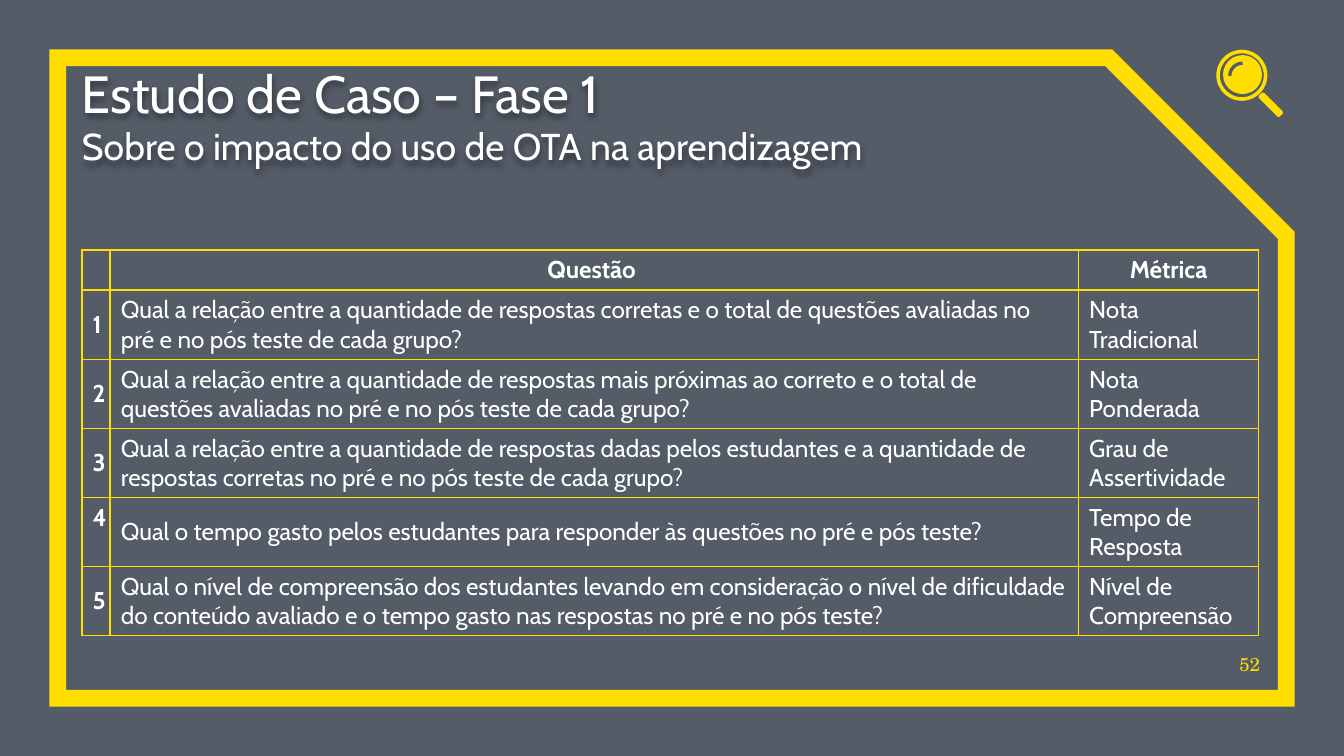
from lxml import etree
from pptx import Presentation
from pptx.dml.color import RGBColor
from pptx.enum.shapes import MSO_SHAPE
from pptx.enum.text import MSO_ANCHOR, PP_ALIGN
from pptx.oxml.ns import qn
from pptx.util import Inches, Pt

MID, LOW = MSO_ANCHOR.MIDDLE, MSO_ANCHOR.BOTTOM
LEFT, MIDST, RIGHT = PP_ALIGN.LEFT, PP_ALIGN.CENTER, PP_ALIGN.RIGHT
RECT, SNIP, ROUND = MSO_SHAPE.RECTANGLE, MSO_SHAPE.SNIP_1_RECTANGLE, MSO_SHAPE.ROUNDED_RECTANGLE
RING, DISC, ARC = MSO_SHAPE.DONUT, MSO_SHAPE.OVAL, MSO_SHAPE.ARC

HUES = {"gold": "FFDE00", "navy": "040F20", "slate": "555C67", "white": "FFFFFF", "black": "000000"}
INK = {name: RGBColor.from_string(code) for name, code in HUES.items()}

deck = Presentation()
deck.slide_width = Inches(10)
deck.slide_height = deck.slide_width * 9 // 16
slide = deck.slides.add_slide(deck.slide_layouts[6])
slide.background.fill.solid()
slide.background.fill.fore_color.rgb = INK["white"]

# The grid has 100 columns across the slide, with square cells.
UNIT = deck.slide_width / 100
ROWS = deck.slide_height / UNIT


def grid(*cells):
    return [round(cell * UNIT) for cell in cells]


def put(para, text, hue="white", **style):
    """Add a run of text with the given font values."""
    run = para.add_run()
    run.text = text
    run.font.color.rgb = INK[hue]
    for key, val in style.items():
        setattr(run.font, key, val)


# Backdrop, frame and magnifier: kind, place, fill, line, width, adjustment, turn
parts = [
    (RECT, (0, 0, 100, ROWS), "navy", None, 0, None, 0),
    (SNIP, (4.3, 4.3, 91.4, 47.65), None, "gold", 9, 13.2 / 47.65, 0),
    (RING, (90.5, 3.7, 3.8, 3.8), "gold", None, 0, 0.07, 0),
    (DISC, (91, 4.1, 2.9, 2.9), "gold", None, 0, None, 0),
    (ARC, (91.5, 4.7, 1.9, 1.9), None, "slate", 1.75, None, 270),
    (ROUND, (93.45, 7.52, 2.2, 0.55), "gold", None, 0, 0.3, 45),
]
for kind, place, fill, line, width, adj, turn in parts:
    shape = slide.shapes.add_shape(kind, *grid(*place))
    shape.shadow.inherit = False
    shape.rotation = turn
    if adj is not None:
        shape.adjustments[0] = adj
    if fill:
        shape.fill.solid()
        shape.fill.fore_color.rgb = INK[fill]
    else:
        shape.fill.background()
    if line:
        shape.line.color.rgb = INK[line]
        shape.line.width = Pt(width)
    else:
        shape.line.fill.background()
    if kind == RECT:
        tint = shape.fill._xPr.find(".//" + qn("a:srgbClr"))
        etree.SubElement(tint, qn("a:alpha"), val="68000")
    if kind == SNIP:
        etree.SubElement(shape.line._ln, qn("a:miter"), lim="800000")

# Title and page number
paras = []
for place, align in [((6.1, 4.63, 75.7, 7.9), LEFT), ((91.1, 47.45, 2.65, 2.8), RIGHT)]:
    area = slide.shapes.add_textbox(*grid(*place))
    frame = area.text_frame
    form = {"word_wrap": True, "vertical_anchor": LOW, "margin_left": 0,
            "margin_right": 0, "margin_top": 0, "margin_bottom": 0}
    for key, val in form.items():
        setattr(frame, key, val)
    para = frame.paragraphs[0]
    para.alignment = align
    paras.append(para)
    if align == LEFT:
        glow = etree.SubElement(area._element.spPr, qn("a:effectLst"))
        cast = etree.SubElement(glow, qn("a:outerShdw"), blurRad="38100", dist="25400",
                                dir="5400000", algn="t", rotWithShape="0")
        tone = etree.SubElement(cast, qn("a:srgbClr"), val=HUES["black"])
        etree.SubElement(tone, qn("a:alpha"), val="40000")
title, page = paras
put(title, "Estudo de Caso – Fase 1", name="Cabin", size=Pt(28))
title.add_line_break()
put(title, "Sobre o impacto do uso de OTA na aprendizagem", name="Cabin", size=Pt(20))
put(page, "52", "gold", name="TeX Gyre Schola", size=Pt(10))

# One table for each question; the first also holds the header.
head = ("", "Questão ", "Métrica")
asks = [
    ("1", "Qual a relação entre a quantidade de respostas corretas e o total de questões "
     "avaliadas no pré e no pós teste de cada grupo?", "Nota Tradicional"),
    ("2", "Qual a relação entre a quantidade de respostas mais próximas ao correto e o total de "
     "questões avaliadas no pré e no pós teste de cada grupo?", "Nota Ponderada"),
    ("3", "Qual a relação entre a quantidade de respostas dadas pelos estudantes e a quantidade "
     "de respostas corretas no pré e no pós teste de cada grupo?", "Grau de Assertividade"),
    ("4 ", "Qual o tempo gasto pelos estudantes para responder às questões no pré e pós teste?",
     "Tempo de Resposta"),
    ("5", "Qual o nível de compreensão dos estudantes levando em consideração o nível de "
     "dificuldade do conteúdo avaliado e o tempo gasto nas respostas no pré e no pós teste?",
     "Nível de Compreensão"),
]
COLS = (2.1, 72.05, 13.4)
HEAD, STEP = 3, 5.14
SIDES = ("a:lnL", "a:lnR", "a:lnT", "a:lnB")
top = 18.6
for ask in asks:
    rows = [head, ask] if ask is asks[0] else [ask]
    highs = [HEAD if row is head else STEP for row in rows]
    place = grid(6.1, top, sum(COLS), sum(highs))
    table = slide.shapes.add_table(len(rows), len(COLS), *place).table
    table.first_row = table.horz_banding = False
    for col, wide in zip(table.columns, grid(*COLS)):
        col.width = wide
    for line, high in zip(table.rows, grid(*highs)):
        line.height = high
    for i, row in enumerate(rows):
        for j, text in enumerate(row):
            cell = table.cell(i, j)
            form = {"vertical_anchor": MID, "margin_left": Inches(0.08),
                    "margin_right": Inches(0.08), "margin_top": Inches(0.04),
                    "margin_bottom": Inches(0.04)}
            for key, val in form.items():
                setattr(cell, key, val)
            props = cell._tc.get_or_add_tcPr()
            for side in SIDES:
                edge = etree.SubElement(props, qn(side), w=str(Pt(1)))
                paint = etree.SubElement(edge, qn("a:solidFill"))
                etree.SubElement(paint, qn("a:srgbClr"), val=HUES["gold"])
            cell.fill.background()
            para = cell.text_frame.paragraphs[0]
            bold = row is head or j == 0
            para.alignment = MIDST if bold else LEFT
            if text:
                put(para, text, name="Cabin", size=Pt(13), bold=bold)
            else:
                etree.SubElement(para._p, qn("a:endParaRPr"), sz="1300")
    top += sum(highs)

deck.save("out.pptx")
